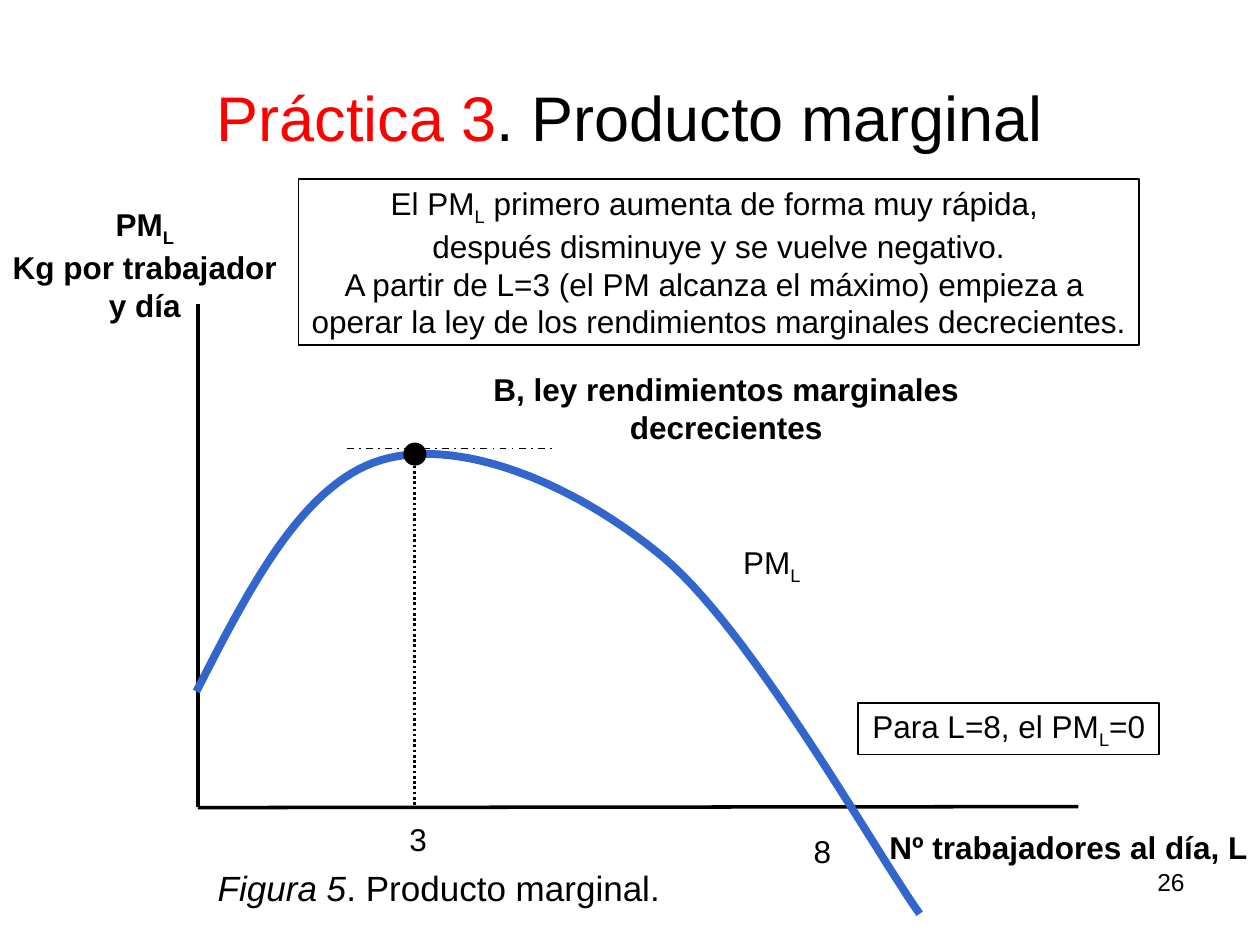
from lxml.etree import SubElement
from pptx import Presentation
from pptx.dml.color import RGBColor
from pptx.enum.dml import MSO_LINE
from pptx.enum.shapes import MSO_CONNECTOR, MSO_SHAPE
from pptx.enum.text import MSO_ANCHOR, PP_ALIGN
from pptx.oxml.ns import qn
from pptx.util import Cm, Pt

BLACK = RGBColor(0, 0, 0)
RED = RGBColor(0xFF, 0, 0)
BLUE = RGBColor(0x33, 0x66, 0xCC)
FONT = "Arial"

# Content: a paragraph is a list of (text, run format) pairs; positions in cm
SUB_L = ("L", {"sub": True})
TITLE = [[("Práctica 3", {"color": RED}), (". Producto marginal", {})]]
CAPTION = [[("Figura 5", {"italic": True}), (". Producto marginal.", {})]]
EXPLANATION = [
    [("El PM", {}), SUB_L, (" primero aumenta de forma muy rápida, ", {})],
    [("después disminuye y se vuelve negativo.", {})],
    [("A partir de L=3 (el PM alcanza el máximo) empieza a ", {})],
    [("operar la ley de los rendimientos marginales decrecientes.", {})],
]
Y_LABEL = [[("PM", {}), SUB_L], [("Kg por trabajador", {})], [("y día", {})]]
ZERO_NOTE = [[("Para L=8, el PM", {}), SUB_L, ("=0", {})]]

TEXTS = [  # paragraphs, (left, top, width, height), format
    (TITLE, (1.27, 0.76, 22.86, 3.18), {"size": 36, "wrap": True}),
    (CAPTION, (4.14, 17.35, 12.57, 1.32),
     {"size": 20, "align": PP_ALIGN.LEFT, "anchor": MSO_ANCHOR.TOP, "wrap": True}),
    ([[("26", {})]], (18.21, 17.35, 5.92, 1.32),
     {"size": 14, "align": PP_ALIGN.RIGHT, "anchor": MSO_ANCHOR.TOP, "wrap": True}),
    (EXPLANATION, (6.02, 3.61, 16.94, 3.35), {"border": True}),
    ([[("B, ley rendimientos marginales decrecientes", {})]],
     (7.67, 7.72, 13.94, 1.02), {"bold": True}),
    ([[("3", {})]], (8, 16.41, 0.86, 1.02), {}),
    ([[("8", {})]], (16.15, 16.64, 0.86, 1.02), {}),
    ([[("PM", {}), SUB_L]], (14.71, 10.87, 1.7, 1.02), {}),
    (Y_LABEL, (0, 4, 5.84, 2.65), {"bold": True}),
    ([[("Nº trabajadores al día, L", {})]], (17.68, 16.56, 7.72, 1.02), {"bold": True}),
    (ZERO_NOTE, (17.3, 14.17, 6.07, 1.04), {"border": True}),
]
AXES = [(3.99, 6.12, 3.99, 16.26), (3.99, 16.28, 21.74, 16.26)]
DROP_LINE = (8.36, 9.07, 8.36, 16.26)
TANGENT = (6.99, 9.04, 11.13, 9.04)
MAXIMUM = (8.15, 8.94, 0.43, 0.43)
# Bezier points: three cubic pieces sharing their end points
CURVE = [(3.96, 13.94), (5.03, 11.84), (6.12, 9.73), (7.7, 9.27), (9.27, 8.81),
         (11.58, 9.73), (13.39, 11.25), (15.19, 12.78), (17.68, 17.22), (18.54, 18.42)]
STEPS = 30

prs = Presentation()
prs.slide_width, prs.slide_height = Cm(25.4), Cm(19.05)
s = prs.slides.add_slide(prs.slide_layouts[6])


def add_text(paragraphs, box, size=18, bold=False, border=False, wrap=False,
             align=PP_ALIGN.CENTER, anchor=MSO_ANCHOR.MIDDLE):
    place = [Cm(v) for v in box]
    if border:
        sp = s.shapes.add_shape(MSO_SHAPE.RECTANGLE, *place)
        sp.shadow.inherit = False
        sp.fill.background()
        sp.line.color.rgb = BLACK
        sp.line.width = Pt(1)
    else:
        sp = s.shapes.add_textbox(*place)
    tf = sp.text_frame
    tf.word_wrap, tf.vertical_anchor = wrap, anchor
    for i, runs in enumerate(paragraphs):
        p = tf.add_paragraph() if i else tf.paragraphs[0]
        p.alignment = align
        for text, style in runs:
            r = p.add_run()
            r.text = text
            r.font.name, r.font.size, r.font.bold = FONT, Pt(size), bold
            r.font.italic = style.get("italic", False)
            r.font.color.rgb = style.get("color", BLACK)
            if style.get("sub"):
                r.font._element.set("baseline", "-25000")


def add_line(ends, width, dash=None):
    c = s.shapes.add_connector(MSO_CONNECTOR.STRAIGHT, *[Cm(v) for v in ends])
    c.line.color.rgb = BLACK
    c.line.width = Pt(width)
    if dash:
        c.line.dash_style = dash
    SubElement(c._element.spPr, qn("a:effectLst"))


def bezier(points, t):
    weights = ((1 - t) ** 3, 3 * t * (1 - t) ** 2, 3 * t ** 2 * (1 - t), t ** 3)
    return tuple(Cm(sum(w * pt[axis] for w, pt in zip(weights, points))) for axis in (0, 1))


# Titles, labels and notes
for paragraphs, box, style in TEXTS:
    add_text(paragraphs, box, **style)

# Axes
for axis in AXES:
    add_line(axis, 2)

# Marginal product curve
samples = [bezier(CURVE[i:i + 4], k / STEPS)
           for i in range(0, len(CURVE) - 1, 3) for k in range(1, STEPS + 1)]
fb = s.shapes.build_freeform(*[Cm(v) for v in CURVE[0]])
fb.add_line_segments(samples, close=False)
curve = fb.convert_to_shape()
curve.shadow.inherit = False
curve.fill.background()
curve.line.color.rgb = BLUE
curve.line.width = Pt(4.5)

# Maximum point with its guide lines
add_line(DROP_LINE, 1.5, MSO_LINE.ROUND_DOT)
dot = s.shapes.add_shape(MSO_SHAPE.OVAL, *[Cm(v) for v in MAXIMUM])
dot.shadow.inherit = False
dot.fill.solid()
dot.fill.fore_color.rgb = BLACK
dot.line.color.rgb = BLACK
dot.line.width = Pt(1)
add_line(TANGENT, 1, MSO_LINE.DASH_DOT)

prs.save("out.pptx")
